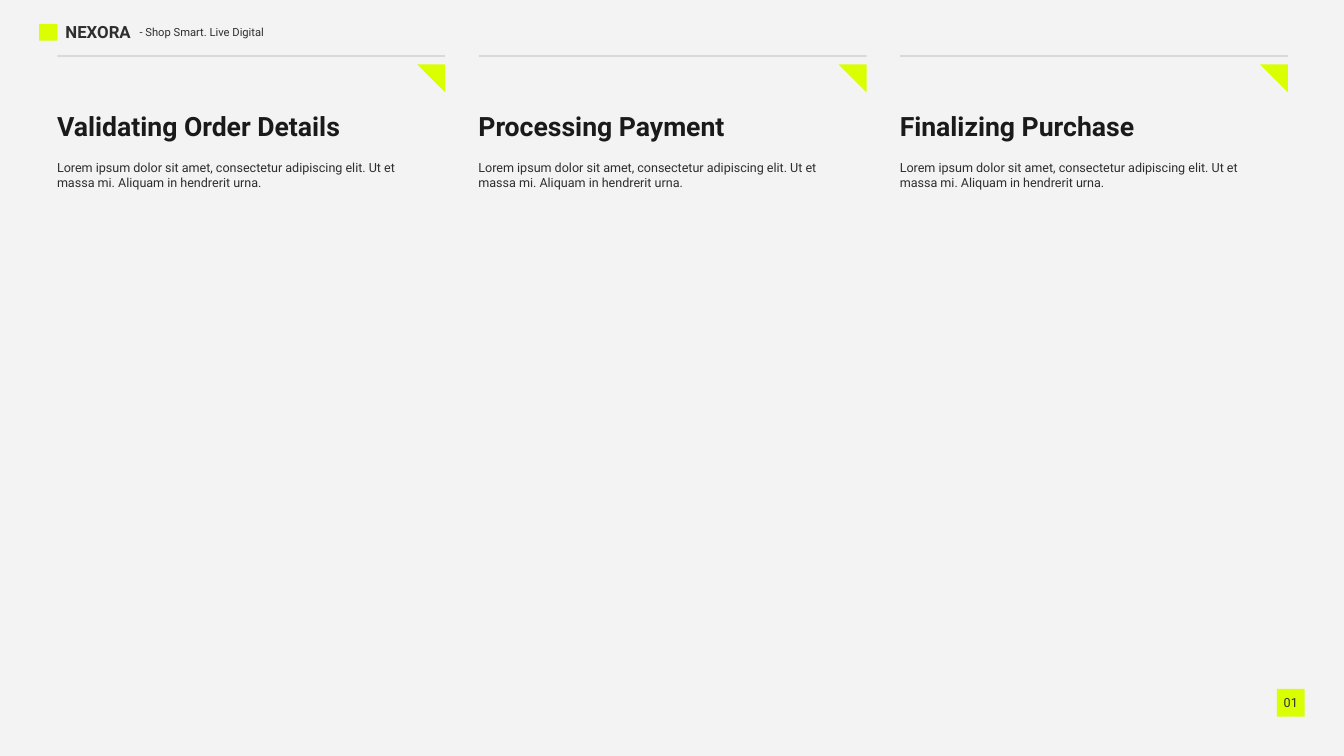
from dataclasses import dataclass

from lxml.etree import SubElement
from pptx import Presentation
from pptx.dml.color import RGBColor
from pptx.enum.shapes import MSO_CONNECTOR as Connector, MSO_SHAPE as Shape
from pptx.enum.text import MSO_ANCHOR as Anchor, MSO_AUTO_SIZE as AutoSize, PP_ALIGN as Align
from pptx.oxml.ns import qn
from pptx.shapes.autoshape import Shape as AutoShape
from pptx.slide import Slide
from pptx.util import Emu, Pt

PX = 9525  # EMU in one px, 96 px to the inch


@dataclass(frozen=True)
class Theme:
    font: str = "Roboto"
    background: str = "F3F3F3"
    accent: str = "D9FF00"
    heading: str = "1A1A1A"
    text: str = "2E2E2E"
    rule: str = "000000"
    heading_size: float = 28.5
    brand_size: float = 18
    body_size: float = 13.5
    tagline_size: float = 12


@dataclass(frozen=True)
class Box:
    left: int
    top: int
    width: int
    height: int

    def emu(self) -> tuple[Emu, ...]:
        return tuple(Emu(side * PX) for side in (self.left, self.top, self.width, self.height))


@dataclass(frozen=True)
class Step:
    title: str
    body: str


THEME = Theme()
LOREM = "Lorem ipsum dolor sit amet, consectetur adipiscing elit. Ut et\nmassa mi. Aliquam in hendrerit urna."
STEPS = [Step(title, LOREM) for title in
         ("Validating Order Details", "Processing Payment", "Finalizing Purchase")]
COLUMN_LEFT, COLUMN_WIDTH, COLUMN_PITCH = 82, 554, 602
RULE_TOP, CORNER_TOP, HEADING_TOP, BODY_TOP = 80, 92, 152, 224
CORNER_SIDE = 40
INSET = 10  # inner margin of a text box


def write(shape: AutoShape, text: str, size: float, color: str = THEME.text,
          bold: bool = False, align: Align = Align.LEFT) -> None:
    frame = shape.text_frame
    frame.text = text
    frame.word_wrap = True
    frame.auto_size = AutoSize.NONE
    for para in frame.paragraphs:
        para.alignment = align
        for span in para.runs:
            span.font.name = THEME.font
            span.font.size = Pt(size)
            span.font.bold = bold
            span.font.color.rgb = RGBColor.from_string(color)


def add_text(page: Slide, box: Box, text: str, size: float, color: str = THEME.text,
             bold: bool = False) -> None:
    write(page.shapes.add_textbox(*box.emu()), text, size, color, bold)


def add_accent(page: Slide, kind: Shape, box: Box) -> AutoShape:
    shape = page.shapes.add_shape(kind, *box.emu())
    shape.shadow.inherit = False
    shape.fill.solid()
    shape.fill.fore_color.rgb = RGBColor.from_string(THEME.accent)
    shape.line.fill.background()
    return shape


def add_rule(page: Slide, left: int, top: int, width: int) -> None:
    """Draw a thin horizontal line at 30 % opacity."""
    rule = page.shapes.add_connector(
        Connector.STRAIGHT, *(Emu(n * PX) for n in (left, top, left + width, top)))
    rule.line.width = Pt(0.75)
    rule.line.color.rgb = RGBColor.from_string(THEME.rule)
    properties = rule._element.spPr
    color = properties.find(".//" + qn("a:srgbClr"))
    SubElement(color, qn("a:alpha")).set("val", "30000")
    SubElement(properties, qn("a:effectLst"))


def add_step(page: Slide, index: int, step: Step) -> None:
    left = COLUMN_LEFT + index * COLUMN_PITCH
    add_rule(page, left, RULE_TOP, COLUMN_WIDTH)
    corner = add_accent(page, Shape.RIGHT_TRIANGLE, Box(
        left + COLUMN_WIDTH - CORNER_SIDE, CORNER_TOP, CORNER_SIDE, CORNER_SIDE))
    corner.rotation = 180

    heading_box = Box(left - INSET, HEADING_TOP, COLUMN_WIDTH, 56)
    if index == 0:
        title = page.shapes.title
        title.left, title.top, title.width, title.height = heading_box.emu()
        title.text_frame.vertical_anchor = Anchor.TOP
        write(title, step.title, THEME.heading_size, THEME.heading, bold=True)
    else:
        add_text(page, heading_box, step.title, THEME.heading_size, THEME.heading, bold=True)
    add_text(page, Box(left - INSET, BODY_TOP, COLUMN_WIDTH + 2 * INSET, 54),
             step.body, THEME.body_size)


def add_header(page: Slide) -> None:
    add_accent(page, Shape.RECTANGLE, Box(56, 34, 26, 24))
    add_text(page, Box(84, 26, 122, 38), "NEXORA", THEME.brand_size, bold=True)
    add_text(page, Box(190, 31, 210, 29), "- Shop Smart. Live Digital", THEME.tagline_size)


def add_page_number(page: Slide, number: int) -> None:
    badge = add_accent(page, Shape.RECTANGLE, Box(1824, 984, 40, 40))
    frame = badge.text_frame
    frame.margin_left = frame.margin_right = 0
    frame.vertical_anchor = Anchor.MIDDLE
    write(badge, f"{number:02}", THEME.body_size, align=Align.CENTER)


def main() -> None:
    deck = Presentation()
    deck.slide_width, deck.slide_height = Emu(1920 * PX), Emu(1080 * PX)
    title_only = deck.slide_layouts.get_by_name("Title Only")
    page = deck.slides.add_slide(title_only)
    page.background.fill.solid()
    page.background.fill.fore_color.rgb = RGBColor.from_string(THEME.background)

    for index, step in enumerate(STEPS):
        add_step(page, index, step)
    add_header(page)
    add_page_number(page, 1)
    deck.save("out.pptx")


if __name__ == "__main__":
    main()
